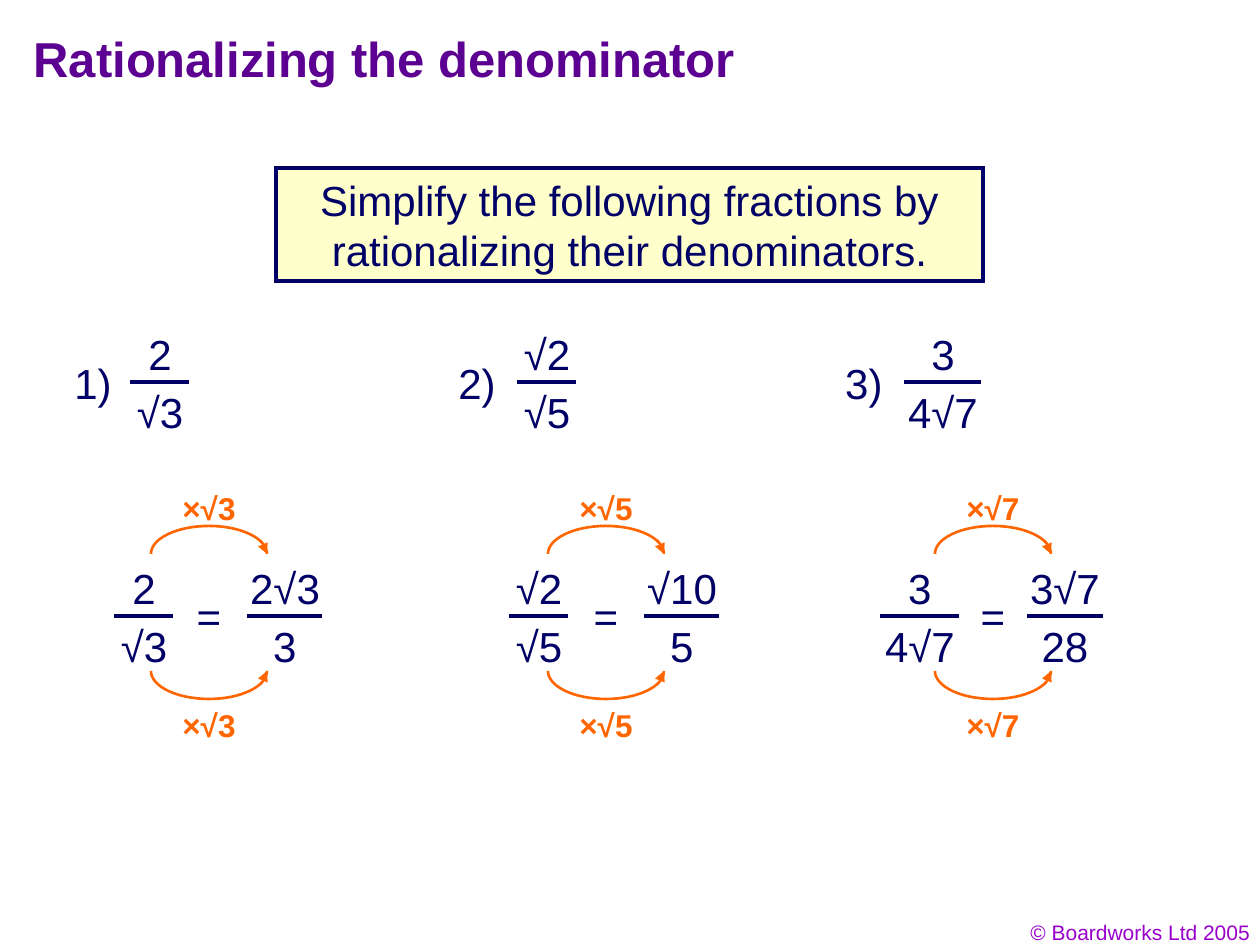
import pptx
import pptx.dml.color
import pptx.enum.shapes
import pptx.enum.text
import pptx.oxml.ns
import pptx.util
from lxml import etree

RGB = pptx.dml.color.RGBColor
PURPLE = RGB(0x5B, 0x00, 0x91)
VIOLET = RGB(0x99, 0x00, 0xCC)
NAVY = RGB(0x01, 0x00, 0x66)
RULE = RGB(0x00, 0x00, 0x66)
CREAM = RGB(0xFF, 0xFF, 0xCC)
ORANGE = RGB(0xFF, 0x66, 0x00)
ALIGN = pptx.enum.text.PP_ALIGN
QN = pptx.oxml.ns.qn


def px(*sizes):
    return [round(size * 914400 / 126) for size in sizes]


def write(shape, text, size=24, color=NAVY, bold=False, align=ALIGN.CENTER, wrap=False):
    frame = shape.text_frame
    frame.auto_size = pptx.enum.text.MSO_AUTO_SIZE.NONE
    frame.word_wrap = wrap
    frame.vertical_anchor = pptx.enum.text.MSO_ANCHOR.TOP
    line = frame.paragraphs[0]
    line.alignment = align
    run = line.add_run()
    run.text = text
    font = run.font
    font.name = "Arial"
    font.size = pptx.util.Pt(size)
    font.bold = bold
    font.color.rgb = color


def label(slide, text, mid, top, width, height=63, **style):
    box = slide.shapes.add_textbox(*px(mid - width / 2, top, width, height))
    write(box, text, **style)


def stroke(slide, start, end, color, weight, arrow=False):
    kind = pptx.enum.shapes.MSO_CONNECTOR.STRAIGHT
    link = slide.shapes.add_connector(kind, *px(*start, *end))
    link.line.color.rgb = color
    link.line.width = pptx.util.Pt(weight)
    if arrow:
        etree.SubElement(link.line._get_or_add_ln(), QN("a:tailEnd"), type="triangle")
    etree.SubElement(link._element.spPr, QN("a:effectLst"))


def ratio(slide, upper, lower, mid, bar, width):
    for text, top in ((upper, bar - 60), (lower, bar - 2)):
        label(slide, text, mid, top, 24 * len(text) + 24)
    stroke(slide, (mid - width / 2, bar), (mid + width / 2, bar), RULE, 2.25)


def bend(curve, handles):
    """Turn each straight segment of a freeform into a Bézier with the given handles."""
    for line, pair in zip(list(curve._element.iter(QN("a:lnTo"))), handles):
        line.tag = QN("a:cubicBezTo")
        for spot, (x, y) in enumerate(pair):
            left, top = px(x, y)
            point = etree.Element(QN("a:pt"), x=str(left - curve.left), y=str(top - curve.top))
            line.insert(spot, point)


def arc(slide, text, mid, base, rise, top):
    """Draw a half-ellipse arrow whose rise is negative when it curves upward."""
    left, right, peak, knee = mid - 58, mid + 58, base + rise, base + rise * 0.55
    path = slide.shapes.build_freeform(*px(right, base))
    path.add_line_segments([px(mid, peak), px(left, base)], close=False)
    curve = path.convert_to_shape()
    bend(curve, [((right, knee), (mid + 32, peak)), ((mid - 32, peak), (left, knee))])
    curve.shadow.inherit = False
    curve.fill.background()
    curve.line.color.rgb = ORANGE
    curve.line.width = pptx.util.Pt(1.5)
    stroke(slide, (mid + 52, base + rise / 2), (right, base), ORANGE, 0.75, True)
    label(slide, text, mid, top, 78, 50, size=18, color=ORANGE, bold=True)


def prompt(slide, text):
    kind = pptx.enum.shapes.MSO_SHAPE.RECTANGLE
    box = slide.shapes.add_shape(kind, *px(276, 168, 707, 113))
    box.shadow.inherit = False
    box.fill.solid()
    box.fill.fore_color.rgb = CREAM
    box.line.color.rgb = RULE
    box.line.width = pptx.util.Pt(2.25)
    etree.SubElement(box.line._get_or_add_ln(), QN("a:miter"), lim="800000")
    write(box, text, wrap=True)


def main():
    deck = pptx.Presentation()
    deck.slide_width, deck.slide_height = px(1260, 945)
    slide = deck.slides.add_slide(deck.slide_layouts[5])
    title = slide.shapes.title
    title.left, title.top, title.width, title.height = px(21, 22, 1071, 84)
    write(title, "Rationalizing the denominator", size=28, color=PURPLE, bold=True,
          align=ALIGN.LEFT, wrap=True)
    prompt(slide, "Simplify the following fractions by rationalizing their denominators.")

    tasks = [
        (("2", "√3"), ("2√3", "3"), "×√3", 93, (160, 59), (144, 59), 209, 285),
        (("√2", "√5"), ("√10", "5"), "×√5", 477, (547, 59), (539, 59), 606, 682),
        (("3", "4√7"), ("3√7", "28"), "×√7", 864, (943, 77), (920, 79), 993, 1065),
    ]
    for num, (given, answer, factor, tag, ask, left, mid, right) in enumerate(tasks, 1):
        label(slide, f"{num})", tag, 351, 62)
        ratio(slide, *given, ask[0], 382, ask[1])
        ratio(slide, *given, left[0], 616, left[1])
        label(slide, "=", mid, 584, 49)
        ratio(slide, *answer, right, 616, 75)
        arc(slide, factor, mid, 554, -28, 483)
        arc(slide, factor, mid, 671, 28, 700)

    label(slide, "© Boardworks Ltd 2005", 1116, 913, 293, 38, size=12,
          color=VIOLET, align=ALIGN.RIGHT, wrap=True)
    deck.save("out.pptx")


if __name__ == "__main__":
    main()
